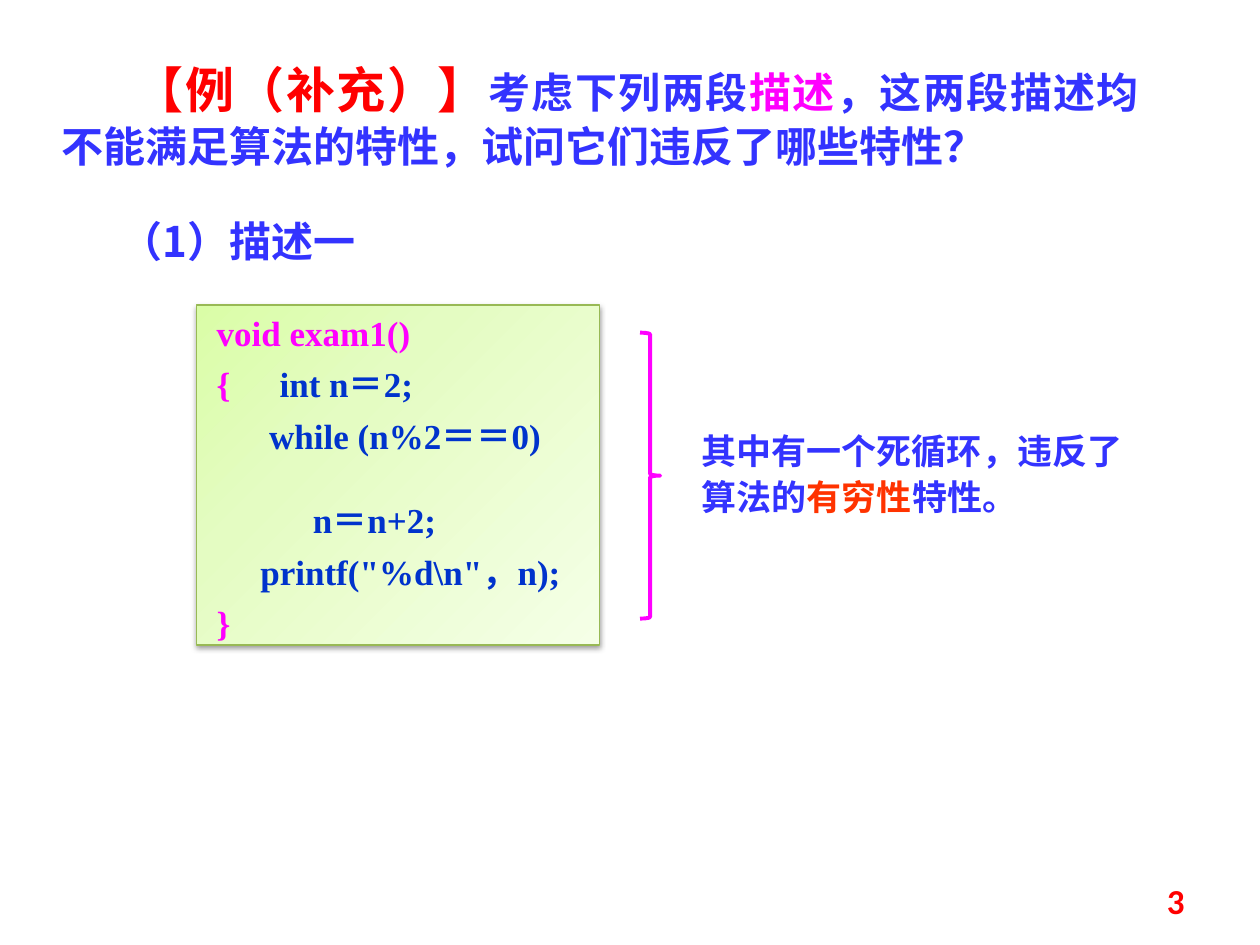
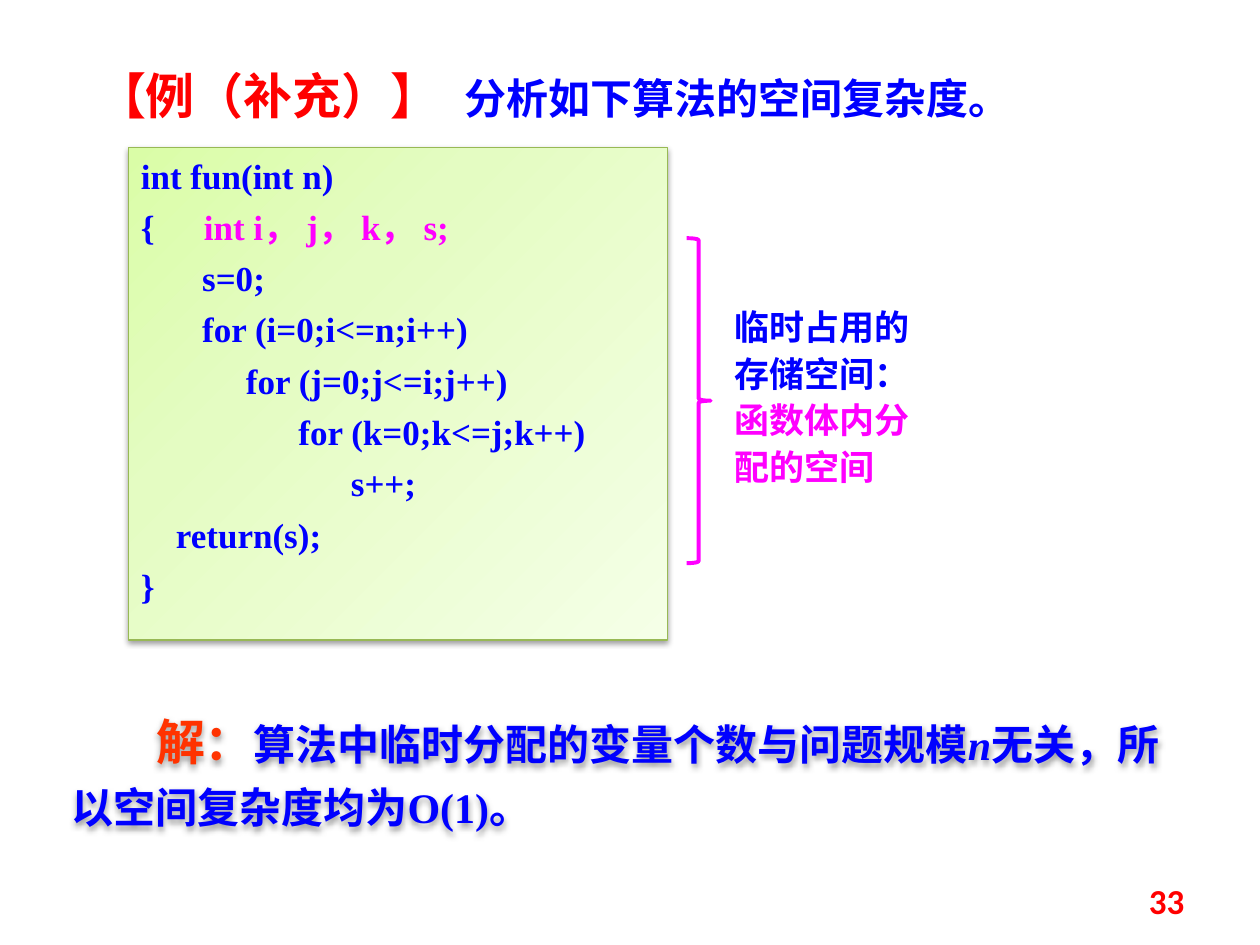
import dataclasses

import pptx
import pptx.dml.color
import pptx.enum.shapes
import pptx.enum.text
import pptx.oxml
import pptx.oxml.ns
import pptx.oxml.xmlchemy
import pptx.util
from pptx.util import Inches

ALIGN = pptx.enum.text.PP_ALIGN
ANCHOR = pptx.enum.text.MSO_ANCHOR
PRESET = pptx.enum.shapes.MSO_SHAPE


@dataclasses.dataclass(frozen=True)
class Theme:
    latin: str = "Times New Roman"
    cjk: str = "Noto Sans CJK SC"
    number_font: str = "Calibri"
    red: str = "FF0000"
    orange: str = "FF3300"
    magenta: str = "FF00FF"
    violet: str = "3333FF"
    navy: str = "0033CC"
    blue: str = "0000FF"
    box_line: str = "98B955"
    box_stops: tuple = ((0, "DAFDA7"), (35, "E4FCC2"), (100, "F5FFE7"))
    label_size: int = 28
    text_size: int = 24
    small_size: int = 20


THEME = Theme()
CODE_SPACE = 5 / 72  # inches taken by one space in the code type size
CODE_PARA = {
    "alignment": ALIGN.JUSTIFY,
    "line_spacing": pptx.util.Pt(18.4),
    "space_before": pptx.util.Pt(10.9),
}


def rgb(color):
    return pptx.dml.color.RGBColor.from_string(color)


def apply_format(target, values):
    for name, value in values.items():
        setattr(target, name, value)


def make_element(tag, parent, **attributes):
    namespaces = pptx.oxml.ns.nsdecls("a")
    element = pptx.oxml.parse_xml(f"<a:{tag} {namespaces}/>")
    for name, value in attributes.items():
        element.set(name, str(value))
    parent.append(element)
    return element


def add_span(para, text, color, size, font=THEME.latin, italic=False):
    span = para.add_run()
    span.text = text
    apply_format(span.font, {
        "name": font, "size": pptx.util.Pt(size), "bold": True, "italic": italic,
    })
    span.font.color.rgb = rgb(color)
    make_element("ea", span._r.get_or_add_rPr(), typeface=THEME.cjk)


def write_para(para, spans, formats, indent=0, tab=None):
    """Fill a paragraph; indent (first line) and tab are in inches."""
    apply_format(para, formats)
    properties = para._p.get_or_add_pPr()
    properties.set("marL", "0")
    properties.set("indent", str(Inches(indent)))
    if tab:
        tabs = make_element("tabLst", properties)
        make_element("tab", tabs, pos=Inches(tab), algn="l")
    for span in spans:
        add_span(para, *span)


def set_frame(frame, top=0.05, side=0.1, anchor=ANCHOR.TOP):
    apply_format(frame, {
        "word_wrap": True,
        "auto_size": pptx.enum.text.MSO_AUTO_SIZE.NONE,
        "vertical_anchor": anchor,
        "margin_top": Inches(top),
        "margin_bottom": Inches(0.05),
        "margin_left": Inches(side),
        "margin_right": Inches(side),
    })


def place(shape, area):
    for name, value in zip(("left", "top", "width", "height"), area):
        setattr(shape, name, Inches(value))


def add_title(slide, area, spans, alignment, **layout):
    title = slide.shapes.title
    place(title, area)
    set_frame(title.text_frame, top=0.13)
    formats = {"alignment": alignment, "line_spacing": pptx.util.Pt(30)}
    write_para(title.text_frame.paragraphs[0], spans, formats, **layout)


def add_text(slide, area, spans, pitch, top=0.05, indent=0):
    """Add a left-aligned text box whose lines are pitch points apart."""
    box = slide.shapes.add_textbox(*map(Inches, area))
    set_frame(box.text_frame, top=top)
    formats = {"alignment": ALIGN.LEFT, "line_spacing": pptx.util.Pt(pitch)}
    write_para(box.text_frame.paragraphs[0], spans, formats, indent)
    return box


def add_soft_shadow(shape):
    shape.shadow.inherit = False
    effects = shape._element.spPr.find(pptx.oxml.ns.qn("a:effectLst"))
    shadow = make_element(
        "outerShdw", effects, blurRad=pptx.util.Pt(3.1), dist=pptx.util.Pt(1.6),
        dir=90 * 60000, rotWithShape=0)
    color = make_element("srgbClr", shadow, val="000000")
    make_element("alpha", color, val=38000)


def fill_gradient(shape):
    shape.fill.gradient()
    shape.fill.gradient_angle = 315
    stops = next(shape._element.spPr.iter(pptx.oxml.ns.qn("a:gsLst")))
    for stop in list(stops):
        stops.remove(stop)
    for percent, color in THEME.box_stops:
        stop = make_element("gs", stops, pos=percent * 1000)
        make_element("srgbClr", stop, val=color)


def add_code_box(slide, area, lines, side):
    """Draw code; each line is (columns of indent, spans, extra layout)."""
    box = slide.shapes.add_shape(PRESET.RECTANGLE, *map(Inches, area))
    fill_gradient(box)
    box.line.color.rgb = rgb(THEME.box_line)
    box.line.width = pptx.util.Pt(0.75)
    add_soft_shadow(box)
    frame = box.text_frame
    set_frame(frame, top=0.13, side=side)
    for index, (columns, spans, layout) in enumerate(lines):
        para = frame.add_paragraph() if index else frame.paragraphs[0]
        formats = {**CODE_PARA, **layout.get("formats", {})}
        write_para(para, spans, formats, columns * CODE_SPACE, layout.get("tab"))


def code_line(columns, text, color, **layout):
    return columns, [(text, color, THEME.small_size)], layout


def opening_line(brace_color, text, text_color, tab):
    spans = [("{\t", brace_color, THEME.small_size),
             (text, text_color, THEME.small_size)]
    return 0, spans, {"tab": tab}


def add_brace(slide, area):
    brace = slide.shapes.add_shape(PRESET.RIGHT_BRACE, *map(Inches, area))
    brace.shadow.inherit = False
    brace.fill.background()
    brace.line.color.rgb = rgb(THEME.magenta)
    brace.line.width = pptx.util.Pt(2.25)


def add_page_number(slide, number):
    box = slide.shapes.add_textbox(*map(Inches, (7.17, 6.95, 2.33, 0.4)))
    set_frame(box.text_frame, anchor=ANCHOR.MIDDLE)
    spans = [(number, THEME.red, THEME.small_size, THEME.number_font)]
    write_para(box.text_frame.paragraphs[0], spans, {"alignment": ALIGN.RIGHT})


def build_finiteness_slide(slide):
    violet, magenta, navy = THEME.violet, THEME.magenta, THEME.navy
    text_size, small_size = THEME.text_size, THEME.small_size
    add_title(slide, (0.39, 0.39, 8.75, 0.98), [
        ("【例（补充）】", THEME.red, THEME.label_size),
        ("考虑下列两段", violet, text_size),
        ("描述", magenta, text_size),
        ("，这两段描述均不能满足算法的特性，试问它们违反了哪些特性？",
         violet, text_size),
    ], ALIGN.JUSTIFY, indent=0.58)
    add_code_box(slide, (1.56, 2.42, 3.2, 2.7), [
        code_line(0, "void exam1()", magenta),
        opening_line(magenta, "int n＝2;", navy, 0.39),
        code_line(6, "while (n%2＝＝0)", navy),
        code_line(11, "n＝n+2;", navy,
                  formats={"space_before": pptx.util.Pt(30)}),
        code_line(5, r'printf("%d\n"，n);', navy),
        code_line(0, "}", magenta),
    ], side=0.16)
    add_brace(slide, (5.08, 2.64, 0.16, 2.27))
    add_text(slide, (5.47, 3.32, 3.67, 0.84), [
        ("其中有一个死循环，违反了算法的", violet, small_size),
        ("有穷性", THEME.orange, small_size),
        ("特性。", violet, small_size),
    ], pitch=26.6)
    add_text(slide, (0.86, 1.6, 2.81, 0.51),
             [("（1）描述一", violet, text_size, THEME.cjk)], pitch=33)
    add_page_number(slide, "3")


def build_space_slide(slide):
    blue, magenta = THEME.blue, THEME.magenta
    text_size, small_size = THEME.text_size, THEME.small_size
    add_title(slide, (0.59, 0.44, 7.69, 0.57), [
        ("【例（补充）】\t", THEME.red, THEME.label_size),
        ("分析如下算法的空间复杂度。", blue, text_size),
    ], ALIGN.LEFT, indent=0.08, tab=2.95)
    answer = add_text(slide, (0.47, 5.47, 9.06, 1.15), [
        ("解：", THEME.orange, THEME.label_size),
        ("算法中临时分配的变量个数与问题规模", blue, text_size),
        ("n", blue, text_size, THEME.latin, True),
        ("无关，所以空间复杂度均为O(1)。", blue, text_size),
    ], pitch=34.9, top=0.16, indent=0.67)
    add_soft_shadow(answer)
    add_code_box(slide, (1.02, 1.17, 4.28, 3.91), [
        code_line(0, "int fun(int n)", blue),
        opening_line(blue, "int i， j， k， s;", magenta, 0.46),
        code_line(7, "s=0;", blue),
        code_line(7, "for (i=0;i<=n;i++)", blue),
        code_line(12, "for (j=0;j<=i;j++)", blue),
        code_line(18, "for (k=0;k<=j;k++)", blue),
        code_line(24, "s++;", blue),
        code_line(4, "return(s);", blue),
        code_line(0, "}", blue),
    ], side=0.1)
    add_brace(slide, (5.45, 1.89, 0.19, 2.58))
    add_text(slide, (5.73, 2.34, 1.69, 1.58), [
        ("临时占用的存储空间：", blue, small_size),
        ("函数体内分配的空间", magenta, small_size),
    ], pitch=26.6)
    add_page_number(slide, "33")


def main():
    deck = pptx.Presentation()
    deck.slide_width, deck.slide_height = Inches(10), Inches(7.5)
    title_only = deck.slide_layouts[5]
    for build in (build_finiteness_slide, build_space_slide):
        build(deck.slides.add_slide(title_only))
    deck.save("out.pptx")


if __name__ == "__main__":
    main()
